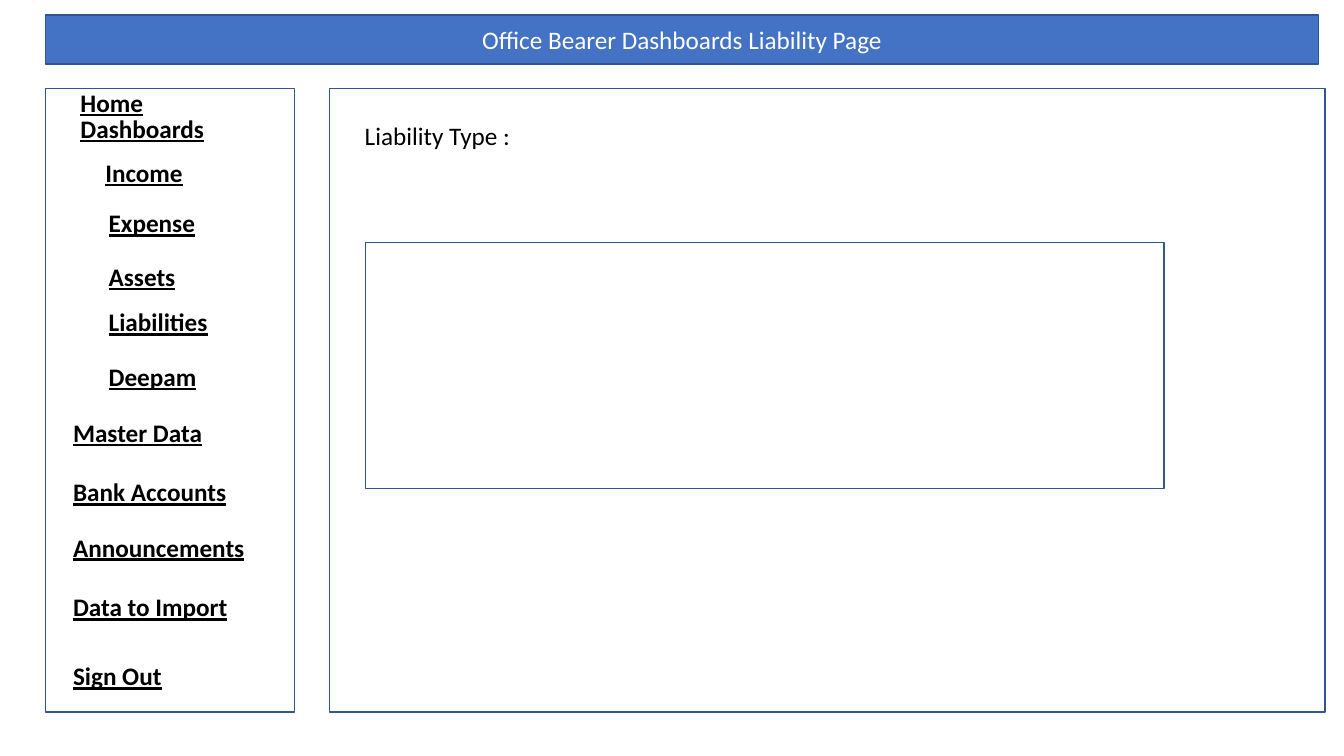
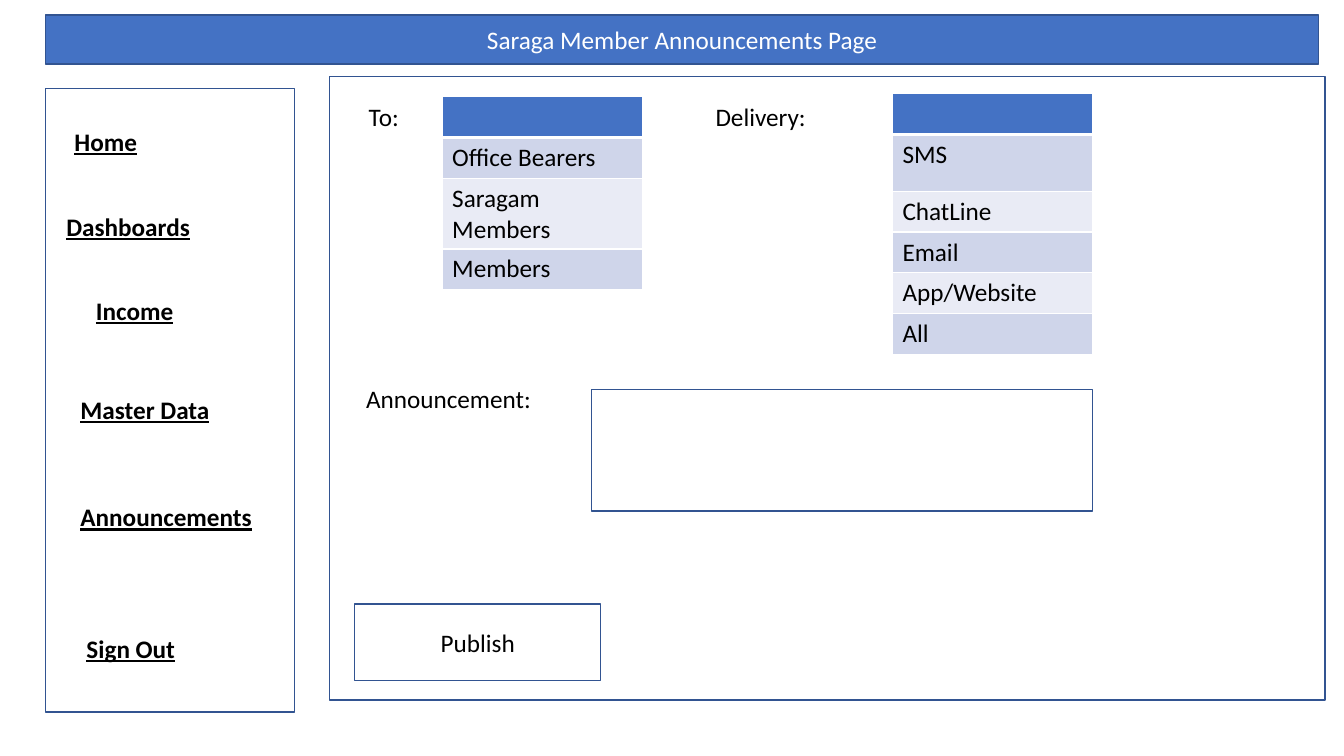
from lxml.etree import SubElement
from pptx import Presentation
from pptx.dml.color import RGBColor
from pptx.enum.shapes import MSO_SHAPE as SHAPE
from pptx.enum.text import MSO_ANCHOR as ANCHOR, MSO_AUTO_SIZE as AUTO, PP_ALIGN as ALIGN
from pptx.oxml.ns import qn
from pptx.util import Inches, Pt

# Shared look
BLUE, OUTLINE, BLACK, WHITE = "4472C4", "325491", "000000", "FFFFFF"
BANDS = ("CFD5EA", "E9EBF5")
FONT, SIZE = "Calibri", 18

# Grid of 100 columns by 100 rows over the slide
WIDTH, HEIGHT = Inches(13.33), Inches(7.5)
MENU_LEFT, MENU_WIDTH = 3.4, 18.5
CONTENT_LEFT, CONTENT_WIDTH = 24.5, 74.1
PANEL_TOP, PANEL_HEIGHT = 11.7, 82.5
LINE_HEIGHT = 5.4


def cols(n):
    return round(WIDTH * n / 100)


def rows(n):
    return round(HEIGHT * n / 100)


def rgb(color):
    return RGBColor.from_string(color)


def write(tf, text, color=BLACK, link=False, align=ALIGN.LEFT):
    p = tf.paragraphs[0]
    p.text = text
    p.alignment = align
    p.font.name, p.font.size = FONT, Pt(SIZE)
    p.font.color.rgb = rgb(color)
    if link:
        p.font.bold = p.font.underline = True


def box(s, x, y, w, h, text="", fill=WHITE, color=BLACK, kind=SHAPE.RECTANGLE):
    sp = s.shapes.add_shape(kind, cols(x), rows(y), cols(w), rows(h))
    sp.shadow.inherit = False
    sp.fill.solid()
    sp.fill.fore_color.rgb = rgb(fill)
    sp.line.color.rgb = rgb(OUTLINE)
    sp.line.width = Pt(1)
    if text:
        sp.text_frame.vertical_anchor = ANCHOR.MIDDLE
        write(sp.text_frame, text, color, align=ALIGN.CENTER)


def label(s, x, y, text, w=24.2, link=False):
    tf = s.shapes.add_textbox(cols(x), rows(y), cols(w), rows(LINE_HEIGHT)).text_frame
    tf.word_wrap = True
    tf.auto_size = AUTO.SHAPE_TO_FIT_TEXT
    write(tf, text, link=link)


def border(cell, bottom):
    tcPr = cell._tc.get_or_add_tcPr()
    for side, width in (("L", 1), ("R", 1), ("T", 1), ("B", bottom)):
        ln = SubElement(tcPr, qn(f"a:ln{side}"), w=str(Pt(width)))
        SubElement(SubElement(ln, qn("a:solidFill")), qn("a:srgbClr"), val=WHITE)


def option_list(s, x, y, options, heights):
    """One-column table: a blue header cell above banded options."""
    frame = s.shapes.add_table(len(options) + 1, 1, cols(x), rows(y),
                               cols(14.9), rows(sum(heights)))
    table = frame.table
    for i, (text, height) in enumerate(zip(["", *options], heights)):
        table.rows[i].height = rows(height)
        cell = table.cell(i, 0)
        border(cell, bottom=1 if i else 3)
        cell.fill.solid()
        cell.fill.fore_color.rgb = rgb(BANDS[(i - 1) % 2] if i else BLUE)
        write(cell.text_frame, text)


def page(prs, title, menu, content_top):
    """Title band, side menu and content panel."""
    s = prs.slides.add_slide(prs.slide_layouts[6])
    box(s, MENU_LEFT, 2, 94.7, 6.5, title, BLUE, WHITE)
    box(s, MENU_LEFT, PANEL_TOP, MENU_WIDTH, PANEL_HEIGHT)
    box(s, CONTENT_LEFT, content_top, CONTENT_WIDTH, PANEL_HEIGHT)
    for text, x, y in menu:
        label(s, x, y, text, MENU_WIDTH, link=True)
    return s


def liability_page(prs):
    main_x, sub_x = 4.7, 7.35
    menu = [("Home", 5.25, 10.9), ("Dashboards", 5.25, 14.3),
            ("Income", 7.1, 20.1), ("Expense", sub_x, 26.8),
            ("Assets", sub_x, 33.9), ("Liabilities", sub_x, 39.9),
            ("Deepam", sub_x, 47.1), ("Master Data", main_x, 54.5),
            ("Bank Accounts", main_x, 62.4), ("Announcements", main_x, 69.7),
            ("Data to Import", main_x, 77.6), ("Sign Out", main_x, 86.7)]
    s = page(prs, "Office Bearer Dashboards Liability Page", menu, PANEL_TOP)
    label(s, 26.4, 15.3, "Liability Type :")
    box(s, 27.2, 32.1, 59.4, 32.5)


def announcements_page(prs):
    menu = [("Home", 4.8, 16), ("Dashboards", 4.2, 27.3), ("Income", 6.4, 38.4),
            ("Master Data", 5.25, 51.5), ("Announcements", 5.25, 65.7),
            ("Sign Out", 5.7, 83.1)]
    s = page(prs, "Saraga Member Announcements Page", menu, 10.1)

    # Recipients and channels
    label(s, 26.7, 12.8, "To:")
    option_list(s, 32.9, 12.8, ["Office Bearers", "Saragam Members", "Members"],
                [LINE_HEIGHT] * 4)
    label(s, 52.5, 12.8, "Delivery:")
    option_list(s, 66.4, 12.4, ["SMS", "ChatLine", "Email", "App/Website", "All"],
                [LINE_HEIGHT, 7.5] + [LINE_HEIGHT] * 4)

    # Message and button
    label(s, 26.5, 50, "Announcement:")
    box(s, 44, 51.5, 37.3, 16.1, kind=SHAPE.ACTION_BUTTON_CUSTOM)
    box(s, 26.4, 79.9, 18.3, 10.1, "Publish")


def main():
    prs = Presentation()
    prs.slide_width, prs.slide_height = WIDTH, HEIGHT
    liability_page(prs)
    announcements_page(prs)
    prs.save("out.pptx")


if __name__ == "__main__":
    main()
